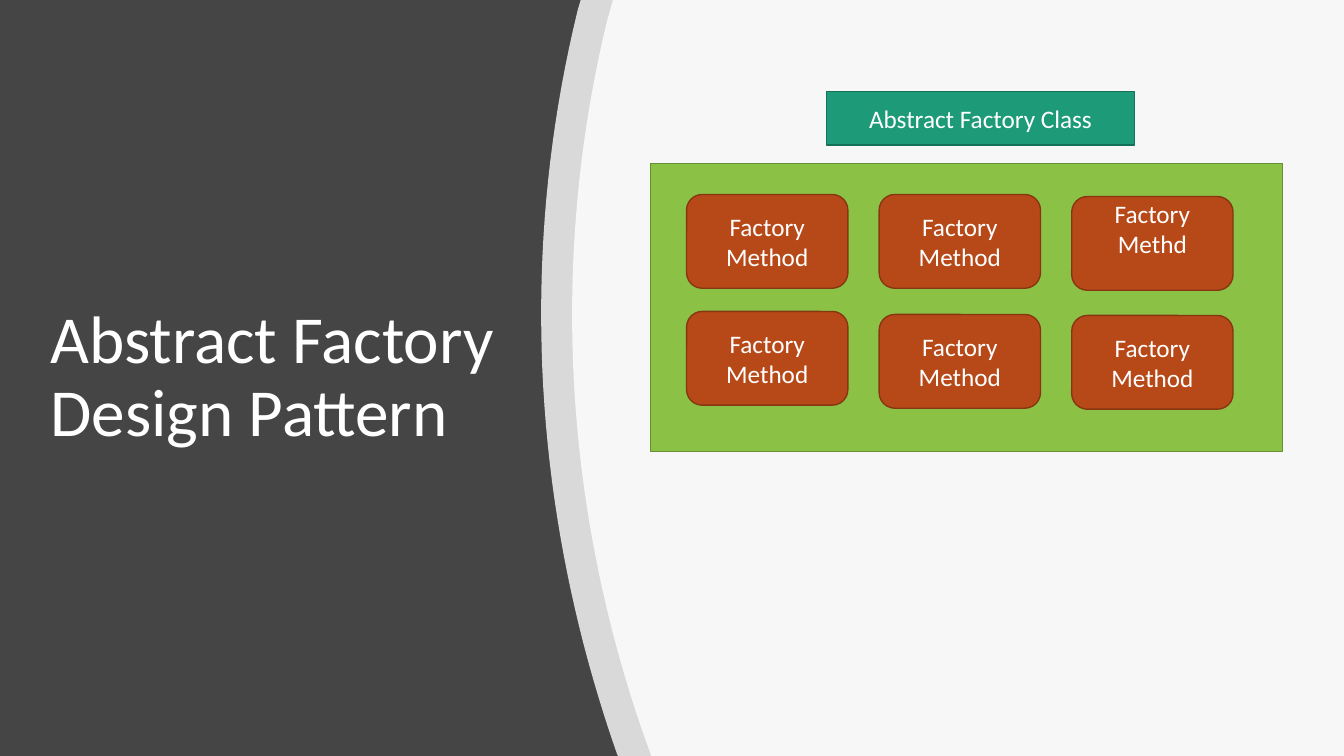
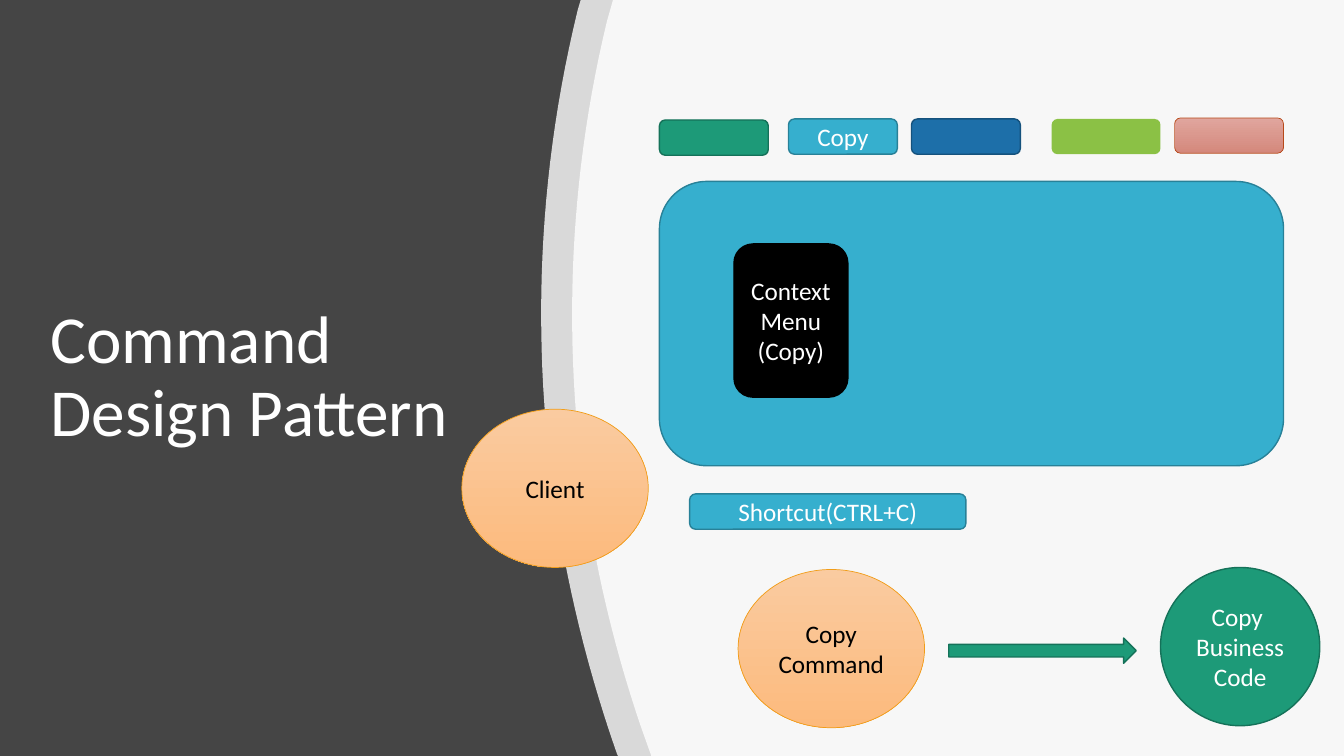
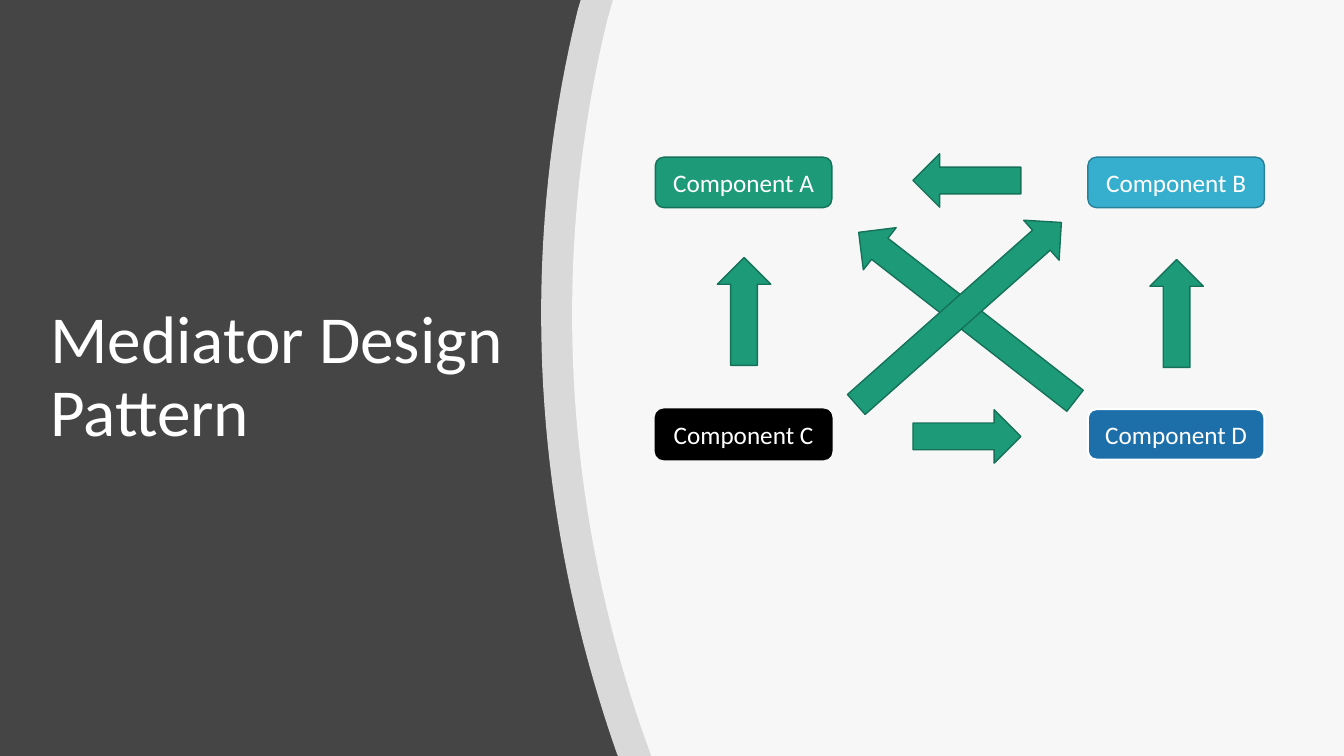
from lxml import etree
from pptx import Presentation
from pptx import util as u
from pptx.dml.color import RGBColor
from pptx.enum import shapes, text
from pptx.oxml.ns import qn

W, H = 13.33, 7.5
FONT = "Calibri"
KIND = shapes.MSO_SHAPE
HEX = {
    "back": "454545", "white": "FFFFFF", "black": "000000",
    "teal": "1D9A78", "pine": "157259", "sky": "36AFCE", "sea": "288198",
    "blue": "1D6FA9", "navy": "15527D", "lime": "8BC145", "moss": "678F33",
    "rust": "B74919", "brown": "873612", "amber": "F19D19",
    "rose": "E0A69E", "blush": "D4887C", "peach": "FACBA0", "melon": "FCBA7D",
}
# Each style is a fill, or the two ends of a gradient, then line and width.
STYLE = {
    "teal": ("teal", "pine", 1), "sky": ("sky", "sea", 1),
    "blue": ("blue", "navy", 1), "lime": ("lime", "moss", 1),
    "rust": ("rust", "brown", 1), "black": ("black", "black", 1),
    "plain": ("lime", None, 0), "framed": ("blue", "white", 1.5),
    "rose": (("rose", "blush"), "rust", 0.5),
    "peach": (("peach", "melon"), "amber", 0.5),
}


def rgb(name):
    return RGBColor.from_string(HEX[name])


def write(frame, words, size=18, color="white", align="CENTER",
          space=1.0, foot=0.05):
    """Fill a text frame; a vertical tab in the words breaks the line."""
    frame.word_wrap = True
    frame.auto_size = text.MSO_AUTO_SIZE.NONE
    frame.vertical_anchor = text.MSO_ANCHOR.MIDDLE
    frame.margin_bottom = u.Inches(foot)
    para = frame.paragraphs[0]
    para.text = words
    para.alignment = getattr(text.PP_ALIGN, align)
    para.line_spacing = space
    for run in para.runs:
        run.font.name = FONT
        run.font.size = u.Pt(size)
        run.font.color.rgb = rgb(color)


def draw(slide, kind, box, style, words="", turn=0, **form):
    shape = slide.shapes.add_shape(kind, *map(u.Inches, box))
    shape.shadow.inherit = False
    shape.rotation = turn
    fill, line, width = STYLE[style]
    if isinstance(fill, tuple):
        shape.fill.gradient()
        shape.fill.gradient_angle = 270
        for stop, name in zip(shape.fill.gradient_stops, fill):
            stop.color.rgb = rgb(name)
    else:
        shape.fill.solid()
        shape.fill.fore_color.rgb = rgb(fill)
    if line:
        shape.line.color.rgb = rgb(line)
        shape.line.width = u.Pt(width)
    else:
        shape.line.fill.background()
    if words:
        write(shape.text_frame, words, **form)


def curve(ends, steps=40):
    """Points along a cubic Bezier curve."""
    for i in range(steps + 1):
        t = i / steps
        parts = ((1 - t) ** 3, 3 * t * (1 - t) ** 2, 3 * t * t * (1 - t), t ** 3)
        yield tuple(sum(k * p[axis] for k, p in zip(parts, ends))
                    for axis in (0, 1))


def band(slide, top, foot, ends):
    """Translucent panel from a curved left edge to the slide's right edge."""
    spots = [(W, 0), (W, H), (foot, H), *curve(ends)]
    pen = slide.shapes.build_freeform(u.Inches(top), 0)
    pen.add_line_segments([(u.Inches(x), u.Inches(y)) for x, y in spots])
    shape = pen.convert_to_shape()
    shape.shadow.inherit = False
    shape.line.fill.background()
    shape.fill.solid()
    shape.fill.fore_color.rgb = rgb("white")
    tone = shape.fill._xPr.find(qn("a:solidFill"))[0]
    etree.SubElement(tone, qn("a:alpha")).set("val", "80000")


def page(deck, words):
    slide = deck.slides.add_slide(deck.slide_layouts[5])
    head = slide.shapes.title
    head.left, head.top, head.width, head.height = map(
        u.Inches, (0.4, 1.36, 5.43, 4.79))
    write(head.text_frame, words, size=48, align="LEFT", space=0.9)
    band(slide, 5.76, 6.13, [(6.12, 7.48), (5.3, 5.14), (5.12, 2.6), (5.73, 0.1)])
    band(slide, 6.08, 6.46, [(6.36, 7.22), (5.6, 4.99), (5.45, 2.58), (6.02, 0.21)])
    return slide


def factory(slide, box):
    x, y, wide, high = box
    draw(slide, KIND.RECTANGLE, box, "lime")
    drops = ((0.31, 0.31, 0.33), (1.47, 1.5, 1.51))
    for row, line in enumerate(drops):
        for col, drop in enumerate(line):
            spot = (x + 0.36 + 1.91 * col, y + drop, 1.6, 0.93)
            words, foot = "Factory Method", 0.05
            if (row, col) == (0, 2):
                words, foot = "Factory Methd", 0.35
            draw(slide, KIND.ROUNDED_RECTANGLE, spot, "rust", words, foot=foot)
    draw(slide, KIND.RECTANGLE, (x + 1.75, y - 0.71, 3.05, 0.53), "teal",
         "Abstract Factory Class")


def window(slide, box):
    """Application window with a tool bar above and a shortcut below."""
    x, y, wide, high = box
    tools = ((0, 0.61, "teal", ""), (1.28, 0.62, "sky", "Copy"),
             (2.5, 0.62, "blue", ""), (3.89, 0.62, "plain", ""),
             (5.11, 0.63, "rose", ""))
    for left, rise, style, words in tools:
        draw(slide, KIND.ROUNDED_RECTANGLE, (x + left, y - rise, 1.08, 0.35),
             style, words)
    draw(slide, KIND.ROUNDED_RECTANGLE, box, "sky")
    draw(slide, KIND.ROUNDED_RECTANGLE, (x + 0.74, y + 0.62, 1.13, 1.52),
         "black", "Context Menu\v(Copy)")
    draw(slide, KIND.ROUNDED_RECTANGLE, (x + 0.3, y + high + 0.28, 2.74, 0.35),
         "sky", "Shortcut(CTRL+C)")


def command(slide, box):
    """Client, command and the code it calls, inside the given box."""
    x, y, wide, high = box
    size = 1.57
    low = y + high - size
    draw(slide, KIND.OVAL, (x + wide - 1.58, low - 0.02, 1.58, size), "teal",
         "Copy \vBusiness Code")
    draw(slide, KIND.OVAL, (x + 2.74, low, 1.85, size), "peach",
         "Copy Command", color="black")
    draw(slide, KIND.RIGHT_ARROW, (x + 4.83, low + 0.68, 1.86, 0.25), "teal")
    draw(slide, KIND.OVAL, (x, y, 1.85, size), "peach", "Client", color="black")


def mediator(slide, box):
    x, y, wide, high = box
    nodes = zip("ABCD", ("teal", "sky", "black", "framed"))
    for i, (name, style) in enumerate(nodes):
        row, col = divmod(i, 2)
        spot = (x + col * (wide - 1.75), y + row * (high - 0.5), 1.75, 0.5)
        draw(slide, KIND.ROUNDED_RECTANGLE, spot, style, f"Component {name}")
    # Centre, length and turn of each arrow.
    arrows = ((0.88, 1.53, 1.07, 0), (3.09, 2.77, 1.07, 90),
              (5.17, 1.55, 1.07, 0), (3.09, 1.58, 2.72, 307.9),
              (3.01, 1.55, 2.72, 48.4), (3.09, 0.23, 1.07, 270))
    for mid, rise, long, turn in arrows:
        spot = (x + mid - 0.53 / 2, y + rise - long / 2, 0.53, long)
        draw(slide, KIND.UP_ARROW, spot, "teal", turn=turn)


def main():
    deck = Presentation()
    deck.slide_width, deck.slide_height = u.Inches(W), u.Inches(H)
    back = deck.slide_master.background.fill
    back.solid()
    back.fore_color.rgb = rgb("back")
    factory(page(deck, "Abstract Factory\vDesign Pattern"),
            (6.45, 1.62, 6.27, 2.86))
    slide = page(deck, "Command\vDesign Pattern")
    window(slide, (6.54, 1.8, 6.19, 2.82))
    command(slide, (4.58, 4.06, 8.51, 3.16))
    mediator(page(deck, "Mediator Design Pattern"), (6.5, 1.56, 6.04, 3))
    deck.save("out.pptx")


if __name__ == "__main__":
    main()
